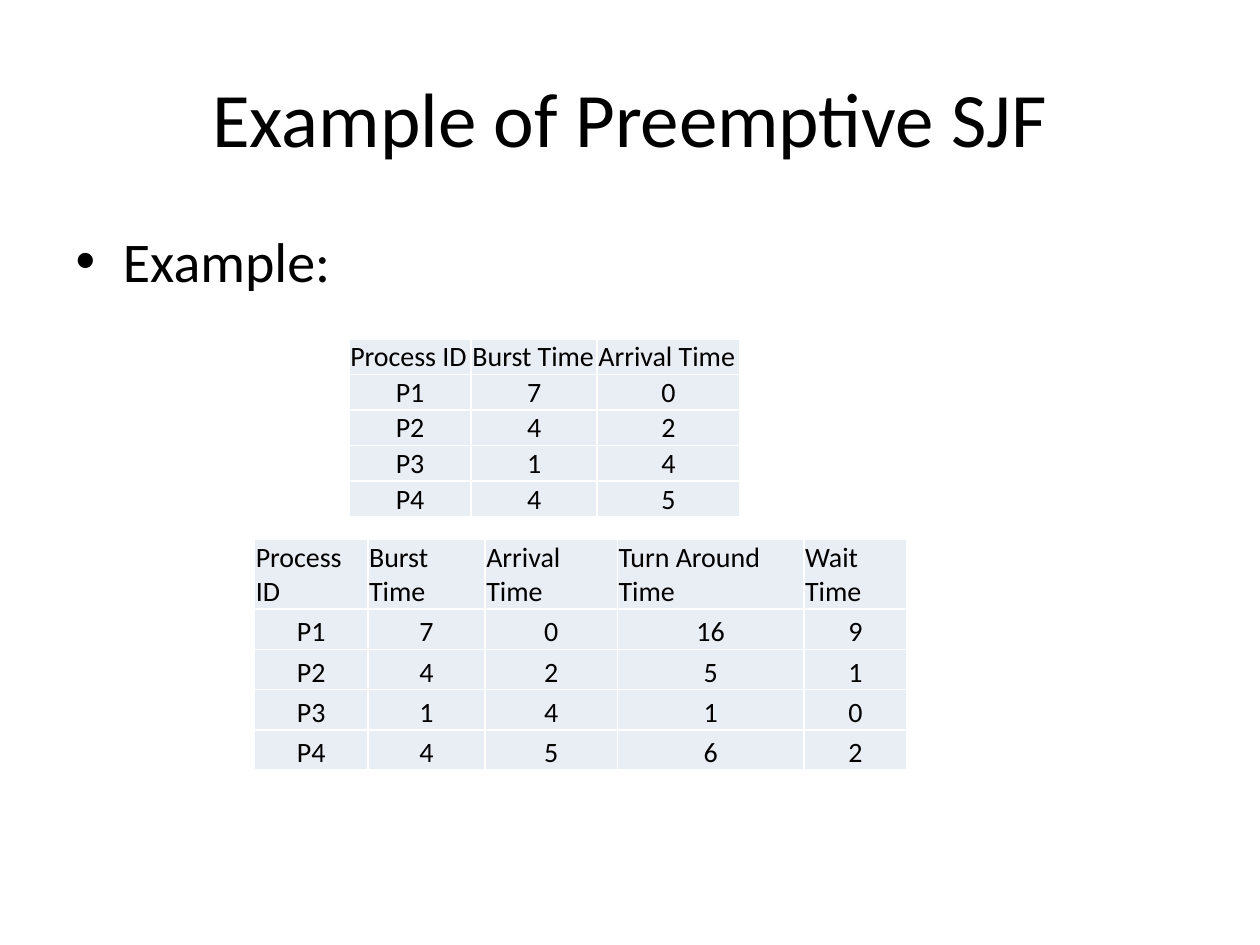
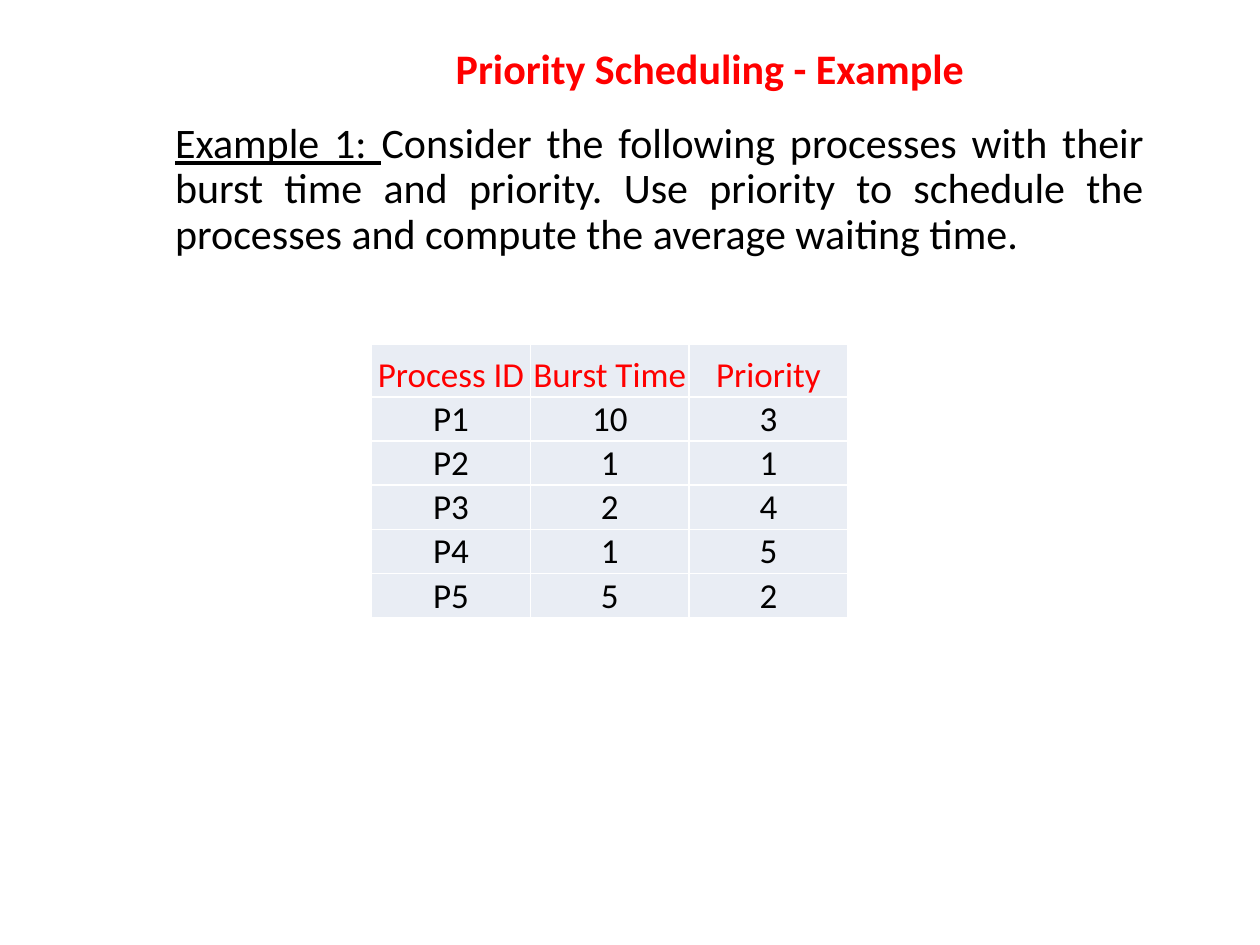
from lxml import etree
from pptx import Presentation
from pptx import util as u
from pptx.dml import color
from pptx.enum import text
from pptx.oxml import ns

FONT = "Calibri"
BLACK, RED, WHITE, CELL = "000000", "FF0000", "FFFFFF", "E9EDF4"
CENTER, LEFT = text.PP_ALIGN.CENTER, text.PP_ALIGN.LEFT
BOTTOM, MIDDLE = text.MSO_ANCHOR.BOTTOM, text.MSO_ANCHOR.MIDDLE


def rgb(value):
    return color.RGBColor.from_string(value)


def format_font(font, size, fill=BLACK, bold=None):
    font.name = FONT
    font.size = u.Pt(size)
    font.color.rgb = rgb(fill)
    font.bold = bold


def place(sp, box):
    sp.left, sp.top, sp.width, sp.height = [u.Inches(v) for v in box]


def add_title(s, box, title, size, fill=BLACK, bold=None):
    sp = s.shapes.title
    place(sp, box)
    tf = sp.text_frame
    tf.text = title
    tf.vertical_anchor = MIDDLE
    p = tf.paragraphs[0]
    p.alignment = CENTER
    format_font(p.runs[0].font, size, fill, bold)


def add_body(s, box, parts, size):
    sp = s.placeholders[1]
    place(sp, box)
    p = sp.text_frame.paragraphs[0]
    p.space_before = u.Pt(0)
    for part in parts:
        r = p.add_run()
        r.text = part
        format_font(r.font, size)
    return p


def remove_bullet(p, margin):
    pPr = p._p.get_or_add_pPr()
    pPr.set("marL", str(u.Inches(margin)))
    pPr.set("indent", "0")
    etree.SubElement(pPr, ns.qn("a:buNone"))


def add_borders(cell):
    tcPr = cell._tc.get_or_add_tcPr()
    for side in ("lnL", "lnR", "lnT", "lnB"):
        ln = etree.SubElement(tcPr, ns.qn("a:" + side), w=str(u.Pt(1)))
        fill = etree.SubElement(ln, ns.qn("a:solidFill"))
        etree.SubElement(fill, ns.qn("a:srgbClr"), val=WHITE)


def format_cell(cell, value, size, fill, align, anchor):
    add_borders(cell)
    cell.fill.solid()
    cell.fill.fore_color.rgb = rgb(CELL)
    cell.margin_left = cell.margin_right = cell.margin_top = u.Inches(0.01)
    cell.margin_bottom = 0
    cell.vertical_anchor = anchor
    cell.text = str(value)
    p = cell.text_frame.paragraphs[0]
    p.alignment = align
    format_font(p.runs[0].font, size, fill)


def add_process_table(s, left, top, widths, header_height, row_height, header, rows,
                      size=16, header_fill=BLACK, header_align=LEFT, anchor=BOTTOM):
    heights = [header_height] + [row_height] * len(rows)
    box = [u.Inches(v) for v in (left, top, sum(widths), sum(heights))]
    table = s.shapes.add_table(len(heights), len(widths), *box).table
    table.first_row = table.horz_banding = False
    for column, width in zip(table.columns, widths):
        column.width = u.Inches(width)
    for row, height in zip(table.rows, heights):
        row.height = u.Inches(height)
    for c, value in enumerate(header):
        format_cell(table.cell(0, c), value, size, header_fill, header_align, BOTTOM)
    for r, values in enumerate(rows, 1):
        for c, value in enumerate(values):
            format_cell(table.cell(r, c), value, size, BLACK, CENTER, anchor)


def build_sjf(s):
    add_title(s, (0.5, 0.3, 9, 1.25), "Example of Preemptive SJF", 44)
    add_body(s, (0.5, 1.75, 9, 4.95), ["Example:"], 32)
    header = ["Process ID", "Burst Time", "Arrival Time"]
    processes = [("P1", 7, 0), ("P2", 4, 2), ("P3", 1, 4), ("P4", 4, 5)]
    results = [(16, 9), (5, 1), (1, 0), (6, 2)]
    add_process_table(s, 2.02, 4.28, [0.9, 0.93, 1.05, 1.48, 0.82], 0.55, 0.32,
                      header + ["Turn Around Time", "Wait Time"],
                      [a + b for a, b in zip(processes, results)])
    add_process_table(s, 2.77, 2.69, [0.97, 1, 1.13], 0.28, 0.28, header, processes)


def build_priority(s):
    add_title(s, (1.26, 0.29, 8.75, 0.5), "Priority Scheduling - Example", 24, RED, True)
    p = add_body(s, (0.91, 0.92, 8.27, 5.98), [
        "Example 1: ",
        "Consider the following processes with their burst time and priority. "
        "Use priority to schedule the processes and compute the average waiting time."], 24)
    remove_bullet(p, 0.38)
    p.alignment = text.PP_ALIGN.JUSTIFY
    p.line_spacing = 0.9
    p.runs[0].font.underline = True
    add_process_table(s, 2.95, 2.73, [1.26] * 3, 0.42, 0.35,
                      ["Process ID", "Burst Time", "Priority"],
                      [("P1", 10, 3), ("P2", 1, 1), ("P3", 2, 4), ("P4", 1, 5), ("P5", 5, 2)],
                      20, RED, CENTER, MIDDLE)


def main():
    prs = Presentation()
    prs.slide_width, prs.slide_height = u.Inches(10), u.Inches(7.5)
    for build in (build_sjf, build_priority):
        build(prs.slides.add_slide(prs.slide_layouts[1]))
    prs.save("out.pptx")


if __name__ == "__main__":
    main()
